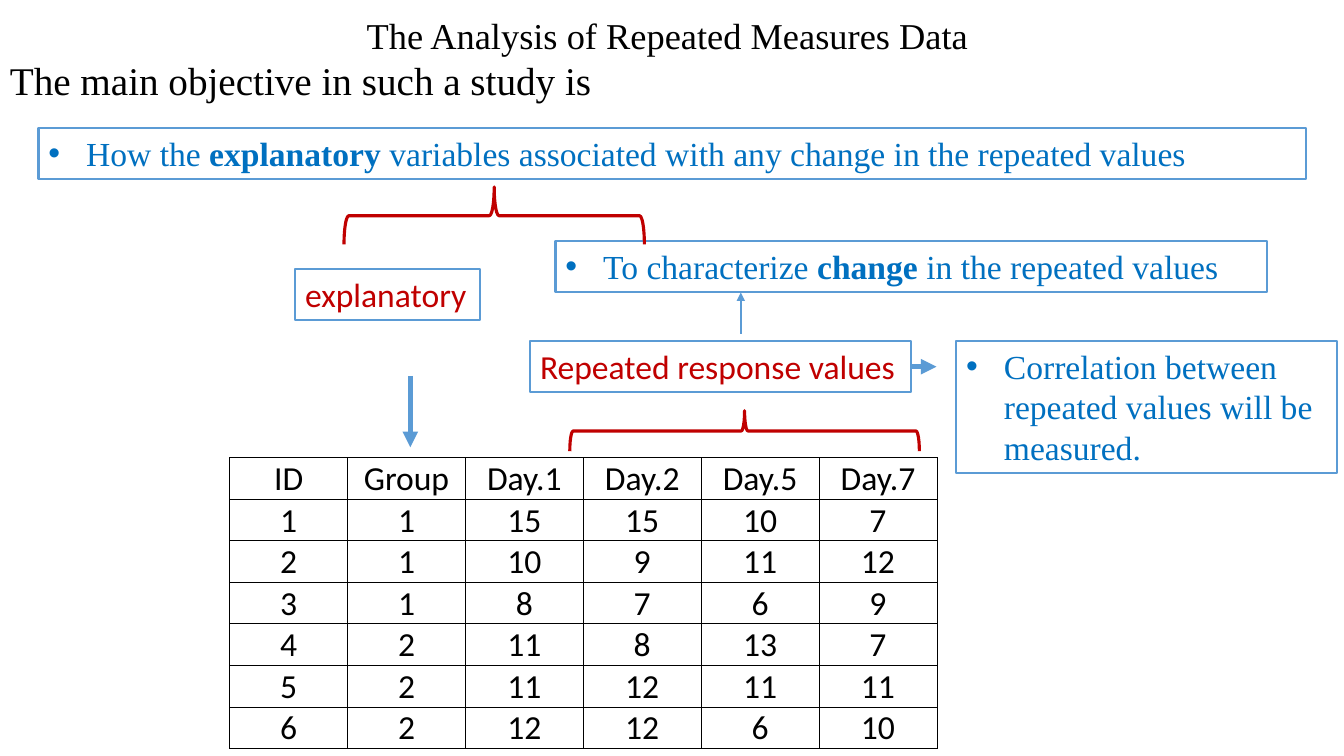
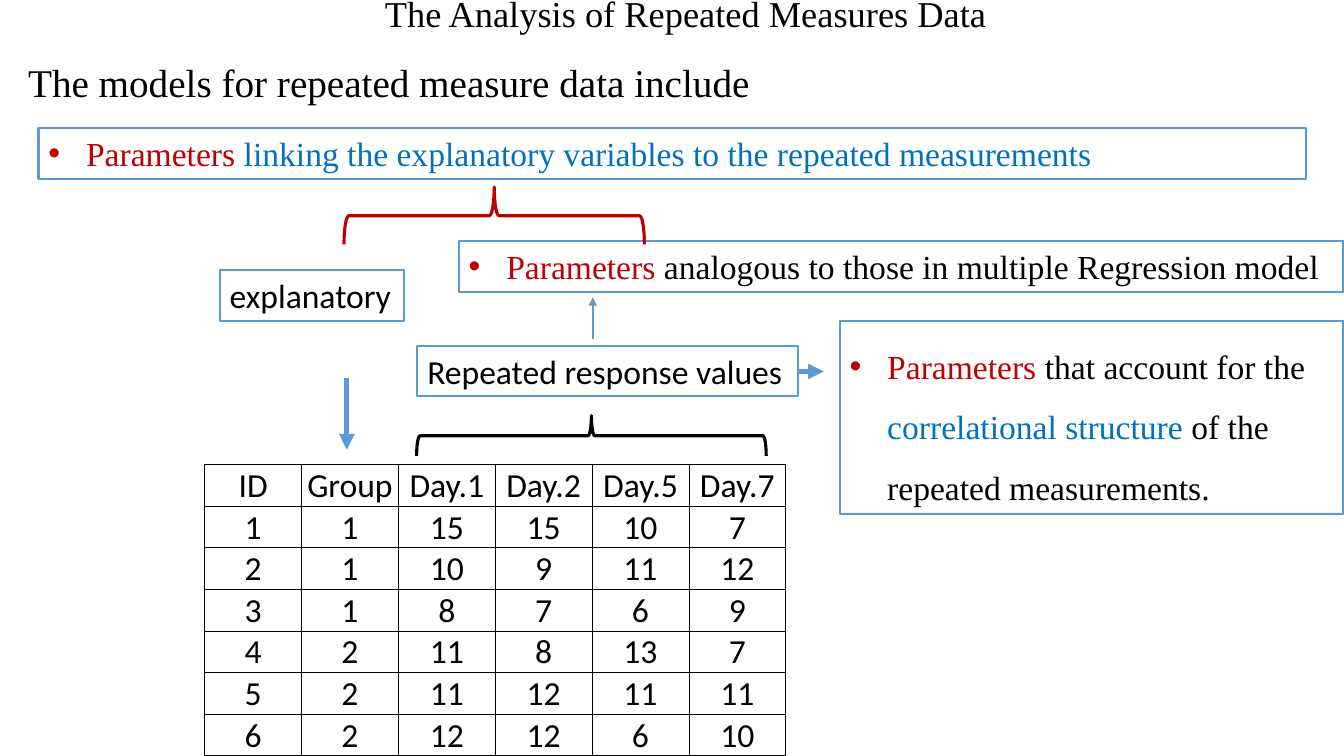
from lxml import etree
from pptx import Presentation
from pptx.dml.color import RGBColor
from pptx.enum.shapes import MSO_CONNECTOR, MSO_SHAPE
from pptx.enum.text import MSO_ANCHOR, PP_ALIGN
from pptx.oxml.ns import qn
from pptx.util import Cm, Pt

BLACK = RGBColor(0x00, 0x00, 0x00)
RED = RGBColor(0xC0, 0x00, 0x00)
BLUE = RGBColor(0x00, 0x70, 0xC0)
OUTLINE = RGBColor(0x5B, 0x9B, 0xD5)
CENTER = PP_ALIGN.CENTER
BOTTOM = MSO_ANCHOR.BOTTOM
BRACE = MSO_SHAPE.RIGHT_BRACE
STRAIGHT = MSO_CONNECTOR.STRAIGHT
SERIF, SANS = "Times New Roman", "Calibri"
BODY_SIZE = 24
LINE_HEIGHT = 1.28
RESPONSE_WIDTH = 9.6
HANGING = 0.95
ROW_HEIGHT = 1.04

TITLE = "The Analysis of Repeated Measures Data"
MAIN_BOX = (0.97, 3.23, 31.95, LINE_HEIGHT)
EXPLANATORY_BRACE = (8.67, 4.71, 7.57, 1.45)
MEASUREMENTS = [
    ("ID", "Group", "Day.1", "Day.2", "Day.5", "Day.7"),
    (1, 1, 15, 15, 10, 7),
    (2, 1, 10, 9, 11, 12),
    (3, 1, 8, 7, 6, 9),
    (4, 2, 11, 8, 13, 7),
    (5, 2, 11, 12, 11, 11),
    (6, 2, 12, 12, 6, 10),
]
SLIDES = [
    {
        "heading": "The main objective in such a study is",
        "heading_at": (0, 0.2), "heading_spacing": 1,
        "label_color": RED,
        "explanatory_at": (7.44, 6.78),
        "response_at": (13.36, 8.59),
        "response_brace_left": 14.36,
        "down_arrow_at": (10.34, 9.47),
        "up_arrow_x": 18.67,
        "table_at": (5.79, 11.53), "column_width": 2.97,
        "bullets": [
            (MAIN_BOX, 1, [
                ("How the ", BLUE, False), ("explanatory", BLUE, True),
                (" variables associated with any change in the repeated values", BLUE, False)]),
            ((14, 6.07, 17.93, LINE_HEIGHT), 1, [
                ("To characterize ", BLUE, False), ("change ", BLUE, True),
                ("in the repeated values", BLUE, False)]),
            ((24.1, 8.59, 9.6, 3.33), 1, [
                ("Correlation between repeated values will be measured.", BLUE, False)]),
        ],
    },
    {
        "heading": "The models for repeated measure data include",
        "heading_at": (0.46, -0.36), "heading_spacing": 1.5,
        "label_color": BLACK,
        "explanatory_at": (5.54, 6.81),
        "response_at": (10.52, 8.71),
        "response_brace_left": 10.5,
        "down_arrow_at": (8.74, 9.53),
        "up_arrow_x": 14.94,
        "table_at": (5.16, 11.71), "column_width": 2.44,
        "bullets": [
            (MAIN_BOX, 1, [
                ("Parameters ", RED, False),
                ("linking the explanatory variables to the repeated measurements", BLUE, False)]),
            ((11.56, 6.07, 22.3, LINE_HEIGHT), 1, [
                ("Parameters ", RED, False),
                ("analogous to those in multiple Regression model", BLACK, False)]),
            ((21.16, 8.08, 12.7, 4.88), 1.5, [
                ("Parameters ", RED, False), ("that account for the ", BLACK, False),
                ("correlational structure ", BLUE, False),
                ("of the repeated measurements.", BLACK, False)]),
        ],
    },
]


def format_run(run, size, font, color, bold=False):
    run.font.size = Pt(size)
    run.font.name = font
    run.font.bold = bold
    run.font.color.rgb = color


def add_text_box(slide, box):
    shape = slide.shapes.add_textbox(*map(Cm, box))
    shape.text_frame.word_wrap = True
    return shape


def add_outlined_box(slide, box):
    shape = add_text_box(slide, box)
    shape.line.color.rgb = OUTLINE
    shape.line.width = Pt(1.5)
    return shape.text_frame.paragraphs[0]


def add_heading(slide, content):
    frame = add_text_box(slide, (*content["heading_at"], 33.66, 2.57)).text_frame
    title = frame.paragraphs[0]
    title.text = TITLE
    title.alignment = CENTER
    format_run(title.runs[0], 26, SERIF, BLACK)
    heading = frame.add_paragraph()
    heading.text = content["heading"]
    heading.line_spacing = content["heading_spacing"]
    format_run(heading.runs[0], 28, SERIF, BLACK)


def add_bullet_box(slide, box, spacing, pieces):
    paragraph = add_outlined_box(slide, box)
    paragraph.line_spacing = spacing
    for text, color, bold in pieces:
        run = paragraph.add_run()
        run.text = text
        format_run(run, BODY_SIZE, SERIF, color, bold)
    properties = paragraph._p.get_or_add_pPr()
    properties.set("marL", str(Cm(HANGING)))
    properties.set("indent", str(-Cm(HANGING)))
    etree.SubElement(properties, qn("a:buFont")).set("typeface", "Arial")
    etree.SubElement(properties, qn("a:buChar")).set("char", "•")


def add_label(slide, text, box, color):
    paragraph = add_outlined_box(slide, box)
    paragraph.text = text
    format_run(paragraph.runs[0], BODY_SIZE, SANS, color)


def add_brace(slide, box, color):
    left, top, width, height = box
    shift = (width - height) / 2
    brace = slide.shapes.add_shape(
        BRACE, Cm(left + shift), Cm(top - shift), Cm(height), Cm(width))
    brace.rotation = 270
    brace.shadow.inherit = False
    brace.fill.background()
    brace.line.color.rgb = color
    brace.line.width = Pt(2.25)


def add_arrow(slide, x, y, across, down, width):
    arrow = slide.shapes.add_connector(
        STRAIGHT, Cm(x), Cm(y), Cm(x + across), Cm(y + down))
    arrow.line.color.rgb = OUTLINE
    arrow.line.width = Pt(width)
    etree.SubElement(arrow.line._get_or_add_ln(), qn("a:tailEnd")).set("type", "triangle")
    etree.SubElement(arrow._element.spPr, qn("a:effectLst"))


def add_cell_borders(cell):
    properties = cell._tc.get_or_add_tcPr()
    for side in ("a:lnL", "a:lnR", "a:lnT", "a:lnB"):
        line = etree.SubElement(properties, qn(side), w=str(Pt(0.5)))
        fill = etree.SubElement(line, qn("a:solidFill"))
        etree.SubElement(fill, qn("a:srgbClr")).set("val", str(BLACK))


def add_measurements(slide, position, column_width):
    rows, columns = len(MEASUREMENTS), len(MEASUREMENTS[0])
    size = (column_width * columns, ROW_HEIGHT * rows)
    table = slide.shapes.add_table(rows, columns, *map(Cm, position + size)).table
    table.first_row = table.horz_banding = False
    for column in table.columns:
        column.width = Cm(column_width)
    for row, values in zip(table.rows, MEASUREMENTS):
        row.height = Cm(ROW_HEIGHT)
        for cell, value in zip(row.cells, values):
            cell.margin_left = cell.margin_right = cell.margin_top = Cm(0.03)
            cell.margin_bottom = 0
            cell.vertical_anchor = BOTTOM
            add_cell_borders(cell)
            cell.fill.background()
            paragraph = cell.text_frame.paragraphs[0]
            paragraph.text = str(value)
            paragraph.alignment = CENTER
            format_run(paragraph.runs[0], BODY_SIZE, SANS, BLACK)


def build_slide(presentation, content):
    slide = presentation.slides.add_slide(presentation.slide_layouts[6])
    color = content["label_color"]
    left, top = content["response_at"]
    add_heading(slide, content)
    add_measurements(slide, content["table_at"], content["column_width"])
    for bullet in content["bullets"]:
        add_bullet_box(slide, *bullet)
    add_label(slide, "explanatory", (*content["explanatory_at"], 4.65, LINE_HEIGHT), color)
    add_label(slide, "Repeated response values",
              (left, top, RESPONSE_WIDTH, LINE_HEIGHT), color)
    add_brace(slide, EXPLANATORY_BRACE, RED)
    add_brace(slide, (content["response_brace_left"], top + 1.76, 8.81, 1.02), color)
    add_arrow(slide, *content["down_arrow_at"], 0, 1.8, 3.75)
    add_arrow(slide, content["up_arrow_x"], top - 0.18, 0, -1.04, 1.5)
    add_arrow(slide, left + RESPONSE_WIDTH, top + 0.65, 0.64, 0, 3.75)


def main():
    presentation = Presentation()
    presentation.slide_width = Cm(33.87)
    presentation.slide_height = Cm(19.05)
    for content in SLIDES:
        build_slide(presentation, content)
    presentation.save("out.pptx")


if __name__ == "__main__":
    main()
